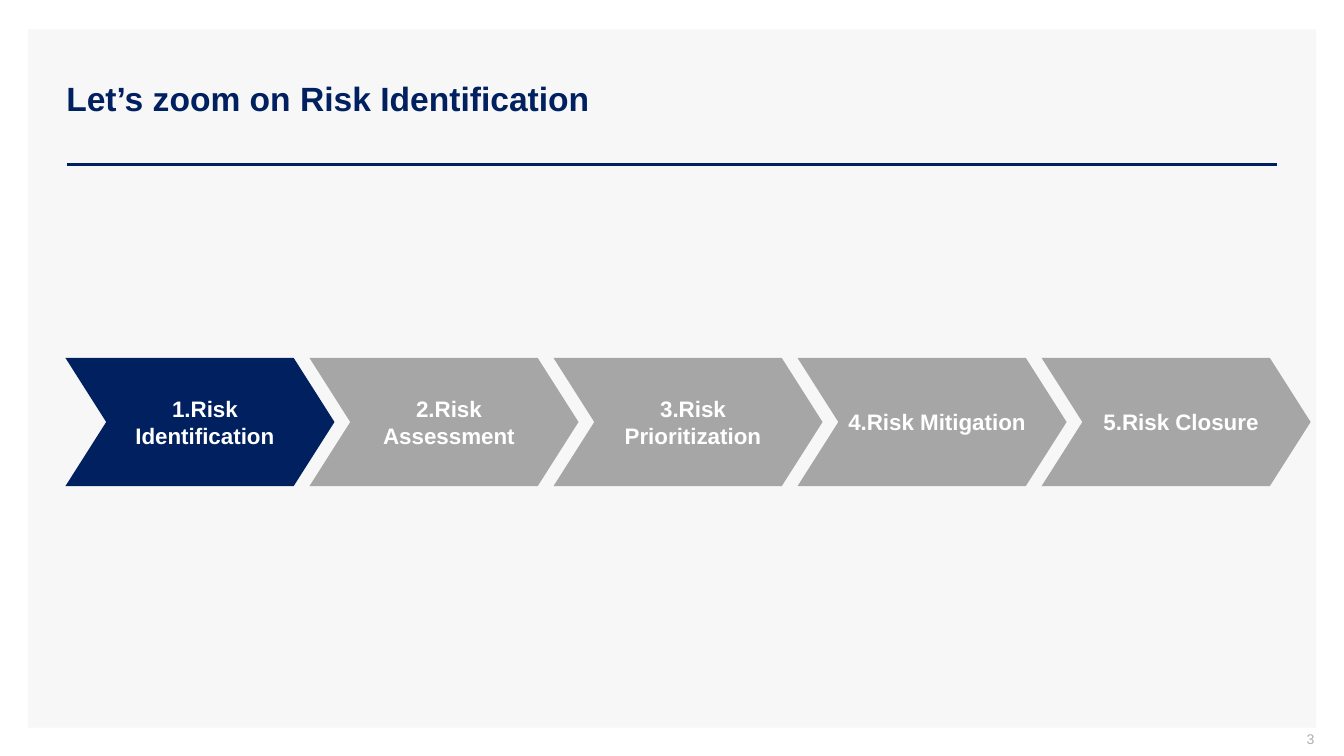
from lxml.etree import SubElement
from pptx import Presentation
from pptx.dml.color import RGBColor
from pptx.enum.shapes import MSO_CONNECTOR, MSO_SHAPE
from pptx.enum.text import MSO_ANCHOR, PP_ALIGN
from pptx.oxml.ns import qn
from pptx.util import Cm, Pt

NAVY, GREY, PANEL, WHITE, PALE = "002060", "A6A6A6", "F7F7F7", "FFFFFF", "ADAFBB"
STEPS = ["1.Risk Identification", "2.Risk Assessment", "3.Risk Prioritization",
         "4.Risk Mitigation", "5.Risk Closure"]


def color(code):
    return RGBColor.from_string(code)


def write(frame, text, size=16, ink=WHITE, bold=False, align=PP_ALIGN.LEFT,
          inset=(0.25, 0.13, 0.25, 0.13), after=0, spacing=1.0):
    frame.word_wrap = True
    frame.vertical_anchor = MSO_ANCHOR.MIDDLE
    (frame.margin_left, frame.margin_top,
     frame.margin_right, frame.margin_bottom) = map(Cm, inset)
    frame.text = text
    para = frame.paragraphs[0]
    para.alignment, para.line_spacing = align, spacing
    para.space_before, para.space_after = Pt(0), Pt(after)
    font = para.runs[0].font
    font.name, font.size, font.bold = "Arial", Pt(size), bold
    font.color.rgb = color(ink)


class Deck:
    def __init__(self):
        self.file = Presentation()
        self.file.slide_width, self.file.slide_height = Cm(33.87), Cm(19.05)
        self.slide = self.file.slides.add_slide(self.file.slide_layouts[5])
        self.shapes = self.slide.shapes

    def shape(self, kind, box, fill):
        item = self.shapes.add_shape(kind, *map(Cm, box))
        item.shadow.inherit = False
        item.fill.solid()
        item.fill.fore_color.rgb = color(fill)
        item.line.fill.background()
        return item

    def rule(self, left, right, top):
        line = self.shapes.add_connector(
            MSO_CONNECTOR.STRAIGHT, Cm(left), Cm(top), Cm(right), Cm(top))
        line.line.color.rgb = color(NAVY)
        line.line.width = Pt(2)
        SubElement(line.element.spPr, qn("a:effectLst"))

    def title(self, text, box):
        item = self.shapes.title
        item.left, item.top, item.width, item.height = map(Cm, box)
        # Bring the title in front of the panel
        item.element.getparent().append(item.element)
        write(item.text_frame, text, size=24, ink=NAVY, bold=True, spacing=0.9)

    def label(self, text, box, **style):
        item = self.shapes.add_textbox(*map(Cm, box))
        write(item.text_frame, text, **style)

    def step(self, text, box, fill):
        item = self.shape(MSO_SHAPE.CHEVRON, box, fill)
        item.adjustments[0] = 0.318
        write(item.text_frame, text, bold=True, align=PP_ALIGN.CENTER,
              inset=(0.25, 0.13, 0, 0.13), after=6)


def main():
    deck = Deck()

    # Panel and heading
    deck.shape(MSO_SHAPE.RECTANGLE, (0.71, 0.74, 32.46, 17.6), PANEL)
    deck.rule(1.68, 32.18, 4.14)
    deck.title("Let’s zoom on Risk Identification", (1.42, 1.02, 30.76, 3.02))

    # Process steps, the first one in focus
    for pos, name in enumerate(STEPS):
        deck.step(name, (1.65 + pos * 6.15, 9.02, 6.78, 3.23),
                  GREY if pos else NAVY)

    # Page number
    deck.label("3", (25.5, 18.42, 7.62, 0.53), size=10, ink=PALE,
               align=PP_ALIGN.RIGHT, inset=(0.25, 0, 0, 0.13))

    deck.file.save("out.pptx")


if __name__ == "__main__":
    main()
